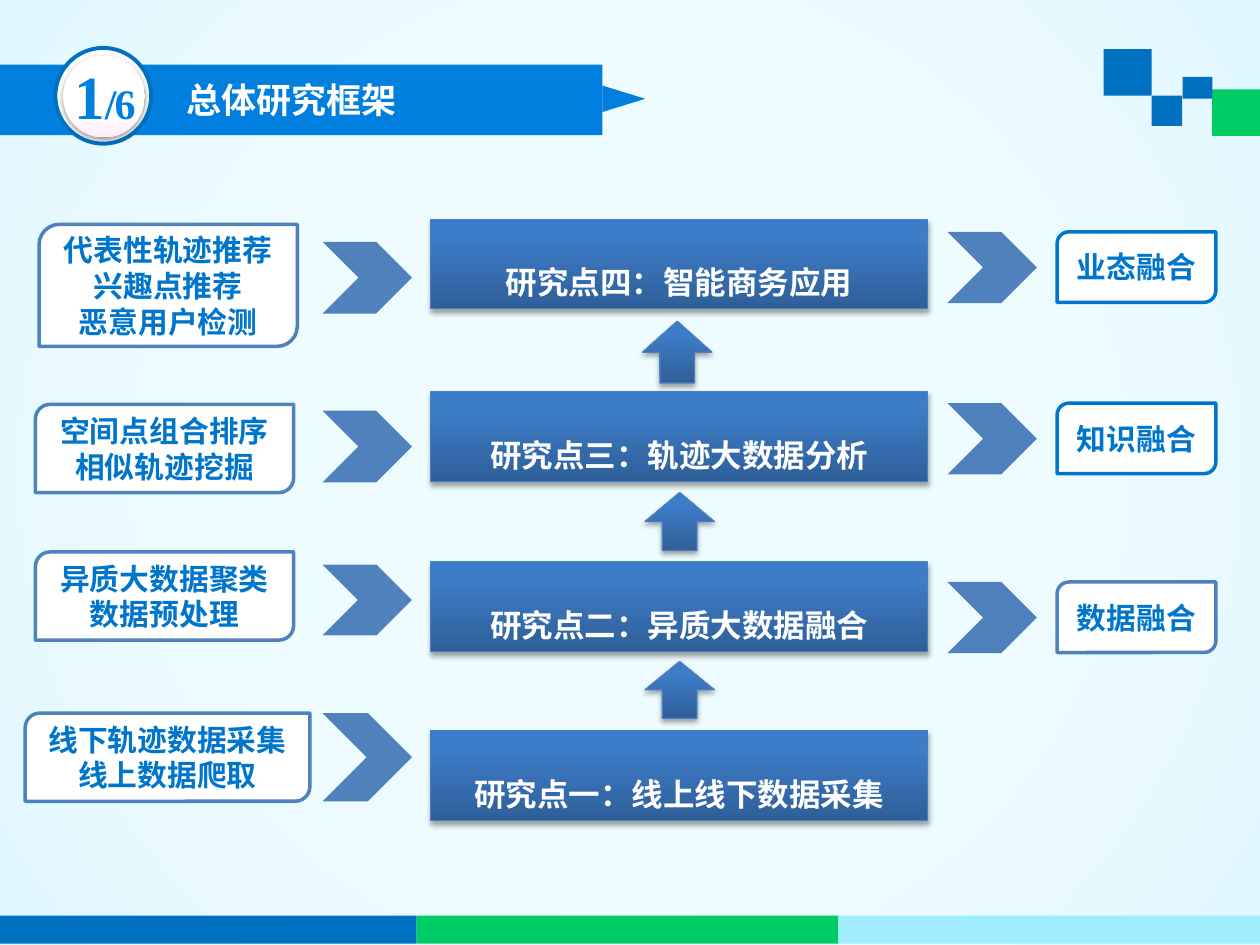
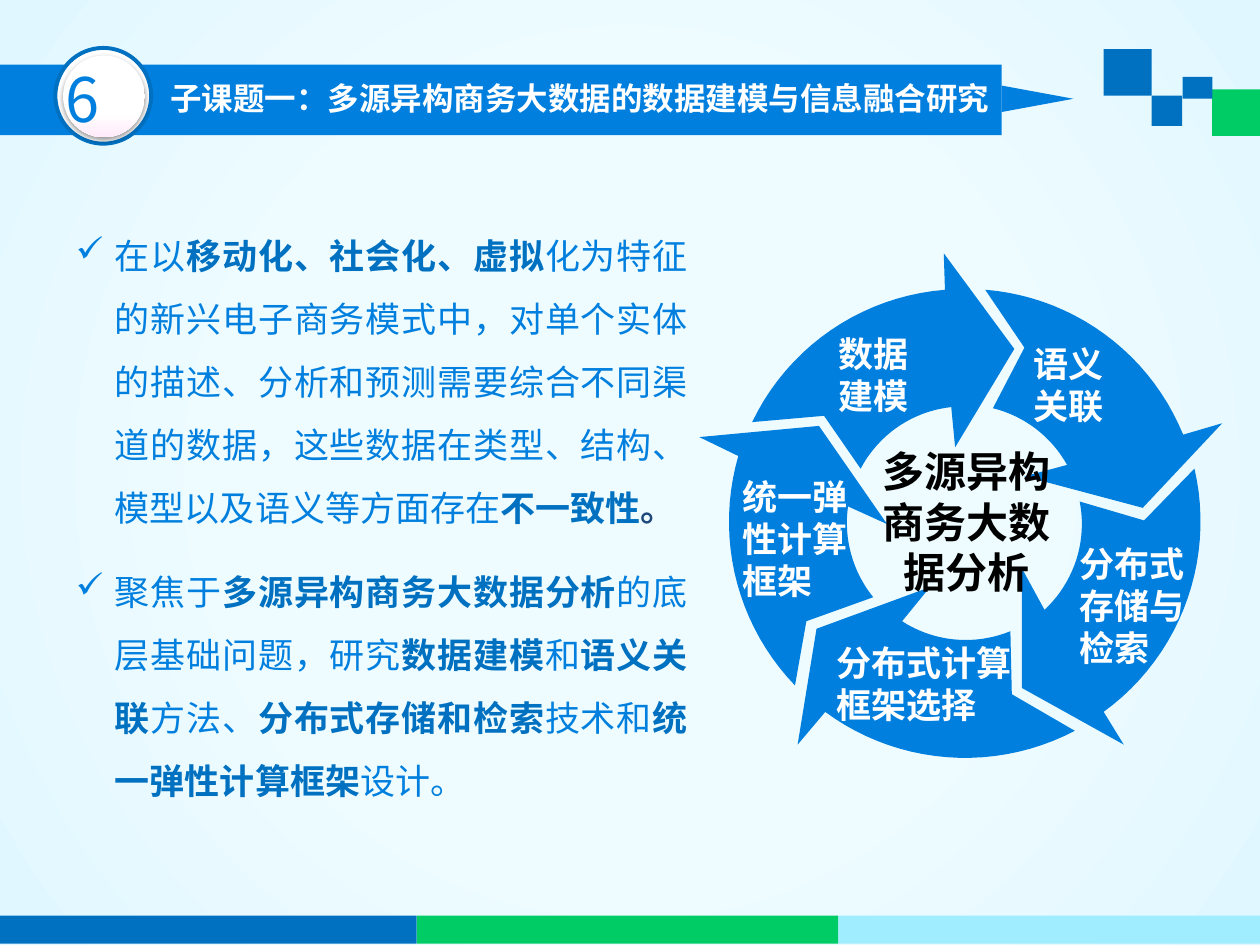
from math import atan2, ceil, cos, hypot, pi, remainder, sin

from lxml.etree import SubElement
from pptx import Presentation
from pptx.dml.color import RGBColor
from pptx.enum.shapes import MSO_SHAPE
from pptx.enum.text import MSO_ANCHOR, MSO_AUTO_SIZE, PP_ALIGN
from pptx.oxml.ns import qn
from pptx.util import Pt

CHINESE_FONT = "Noto Sans CJK SC"
NUMBER_FONT = "Times New Roman"
BRIGHT_BLUE = "007FDE"
DEEP_BLUE = "0070C0"
LABEL_BLUE = "0075CC"
STEEL_BLUE = "4F81BD"
GREEN = "00CC66"
PALE_BLUE = "9FEDFF"
WHITE = "FFFFFF"
BLACK = "000000"

BACKGROUND_STOPS = [(19, "EFFCFF"), (50, "EEFCFF"), (98, "E1F7FF")]
STAGE_STOPS = [(0, "2F5F99"), (80, "3D7CC7"), (100, "3A7CCB")]
BADGE_STOPS = [(0, WHITE), (70, WHITE), (100, "FFEBFA")]

PLAIN = (BRIGHT_BLUE, False)
STRONG = (DEEP_BLUE, True)
FULL_STOP = ("1F497D", True)

# Stage title, stage top, input lines, input frame, input chevron (top, height)
STAGES = [
    ("研究点四：智能商务应用", 125.3, ["代表性轨迹推荐", "兴趣点推荐", "恶意用户检测"],
     (22.3, 128.2, 147.6, 69.8), (138.2, 41)),
    ("研究点三：轨迹大数据分析", 223.9, ["空间点组合排序", "相似轨迹挖掘"],
     (20.2, 231.1, 147.6, 50.4), (234.7, 41)),
    ("研究点二：异质大数据融合", 321.1, ["异质大数据聚类数据预处理"],
     (20.2, 315.4, 147.6, 50.4), (322.6, 40.5)),
    ("研究点一：线上线下数据采集", 417.6, ["线下轨迹数据采集", "线上数据爬取"],
     (14.4, 407.5, 162.7, 50.4), (407.5, 50.4)),
]
RESULTS = [("业态融合", 132.5, LABEL_BLUE), ("知识融合", 230.4, LABEL_BLUE),
           ("数据融合", 332.6, STEEL_BLUE)]
UP_ARROWS = [(367.2, 183.6, 35.3), (368.6, 281.5, 33.1), (368.6, 378, 32.4)]

BODY = [
    [("在以", PLAIN), ("移动化、社会化、虚拟", STRONG),
     ("化为特征的新兴电子商务模式中，对单个实体的描述、分析和预测需要综合不同渠道的数据，"
      "这些数据在类型、结构、模型以及语义等方面存在", PLAIN),
     ("不一致性", STRONG), ("。", FULL_STOP)],
    [("聚焦于", PLAIN), ("多源异构商务大数据分析", STRONG), ("的底层基础问题，研究", PLAIN),
     ("数据建模", STRONG), ("和", PLAIN), ("语义关联", STRONG), ("方法、", PLAIN),
     ("分布式存储和检索", STRONG), ("技术和", PLAIN), ("统一弹性计算框架", STRONG),
     ("设计。", PLAIN)],
]

RING_CENTRE = (551.5, 298.4)
# Inner arc start and end, inner barb, tip, outer barb, outer arc start and end, notch
RING_ARROWS = [
    [(491.8, 267.8), (543.6, 232.6), (545.8, 255.6), (579.6, 199.4),
     (539.3, 144.7), (540, 165.6), (429.8, 241.2), (470.9, 237.6)],
    [(567.4, 233.3), (609.8, 265.7), (585.4, 272.2), (653, 290.2),
     (698.4, 241.9), (676.1, 248.4), (563, 165.6), (585.4, 198.7)],
    [(617, 286.6), (596.9, 348.5), (583.9, 324.7), (583.9, 393.1),
     (642.2, 425.5), (630.7, 406.8), (682.6, 267.8), (653.8, 297.4)],
    [(577.4, 360.7), (515.5, 355), (531.4, 335.5), (466.6, 359.3),
     (455.8, 425.5), (471.6, 406.8), (614.2, 417.6), (578.2, 396.7)],
    [(499, 341.3), (484.6, 289.4), (506.9, 299.5), (468, 243.4),
     (399.6, 249.8), (421.9, 260.6), (454.3, 391.7), (460.8, 355)],
]
RING_LABELS = [
    ("数据建模", (479.2, 190.1, 48, 48.2)),
    ("语义关联", (590.8, 195.8, 48, 48.2)),
    ("分布式存储与检索", (617, 309.6, 62, 72.7)),
    ("分布式计算框架选择", (478, 366.5, 102, 48.2)),
    ("统一弹性计算框架", (424, 271.4, 62, 72.7)),
]


def color(value):
    return RGBColor.from_string(value)


def points(frame):
    return [Pt(length) for length in frame]


def set_gradient(fill, owner, stops, angle=None):
    """Fill with the stops, along an angle or, without one, outward from the centre."""
    fill.gradient()
    gradient = next(owner.iter(qn("a:gradFill")))
    for child in list(gradient):
        gradient.remove(child)
    stop_list = SubElement(gradient, qn("a:gsLst"))
    for position, value in stops:
        stop = SubElement(stop_list, qn("a:gs"), pos=str(position * 1000))
        SubElement(stop, qn("a:srgbClr"), val=value)
    if angle is None:
        circle = SubElement(gradient, qn("a:path"))
        circle.set("path", "circle")
        SubElement(circle, qn("a:fillToRect"), l="50000", t="50000", r="50000", b="50000")
    else:
        SubElement(gradient, qn("a:lin"), ang=str(angle * 60000), scaled="0")


def add_shadow(shape, distance, opacity):
    effects = shape.element.spPr.find(qn("a:effectLst"))
    shadow = SubElement(effects, qn("a:outerShdw"), blurRad=str(Pt(3.1)),
                        dist=str(Pt(distance)), dir="5400000", rotWithShape="0")
    shade = SubElement(shadow, qn("a:srgbClr"), val=BLACK)
    SubElement(shade, qn("a:alpha"), val=str(opacity * 1000))


def style_shape(shape, fill=None, line=None, line_width=2):
    shape.shadow.inherit = False
    if fill:
        shape.fill.solid()
        shape.fill.fore_color.rgb = color(fill)
    else:
        shape.fill.background()
    if line:
        shape.line.color.rgb = color(line)
        shape.line.width = Pt(line_width)
    else:
        shape.line.fill.background()
    return shape


def add_shape(slide, kind, frame, fill=None, line=None, line_width=2):
    shape = slide.shapes.add_shape(kind, *points(frame))
    return style_shape(shape, fill, line, line_width)


def add_raised_shape(slide, kind, frame):
    shape = add_shape(slide, kind, frame, WHITE, "4B7EBC", 0.75)
    set_gradient(shape.fill, shape.element.spPr, STAGE_STOPS, 270)
    add_shadow(shape, 1.8, 35)
    return shape


def format_run(run, size, value, bold=True, font=CHINESE_FONT, spacing=None):
    run.font.size = Pt(size)
    run.font.bold = bold
    run.font.color.rgb = color(value)
    run.font.name = font
    properties = run.font._element
    SubElement(properties, qn("a:ea"), typeface=font)
    if spacing is not None:
        properties.set("spc", str(round(spacing * 100)))


def set_text(shape, lines, size, value, align=PP_ALIGN.LEFT, anchor=MSO_ANCHOR.TOP,
             line_spacing=None):
    text_frame = shape.text_frame
    text_frame.text = "\n".join(lines)
    text_frame.word_wrap = True
    text_frame.auto_size = MSO_AUTO_SIZE.NONE
    text_frame.vertical_anchor = anchor
    for paragraph in text_frame.paragraphs:
        paragraph.alignment = align
        if line_spacing:
            paragraph.line_spacing = line_spacing
        for run in paragraph.runs:
            format_run(run, size, value)


def add_ribbon(slide, width, tip_length):
    left, top, height, tip_base = -1.4, 36.9, 40.3, 15.1
    add_shape(slide, MSO_SHAPE.RECTANGLE, (left, top, width, height), BRIGHT_BLUE)
    tip_left = left + width + (tip_length - tip_base) / 2
    tip_top = top + (height - tip_length) / 2 - 0.6
    tip = add_shape(slide, MSO_SHAPE.ISOSCELES_TRIANGLE,
                    (tip_left, tip_top, tip_base, tip_length), BRIGHT_BLUE)
    tip.rotation = 90


def add_badge(slide, position, runs):
    """Round badge; each run is text, size, font, bold and letter spacing."""
    add_shape(slide, MSO_SHAPE.OVAL, (31.7, 27.4, 54.7, 54.7), WHITE, DEEP_BLUE, 2.25)
    disc = add_shape(slide, MSO_SHAPE.OVAL, (36, 31.7, 46.8, 46.8), WHITE)
    set_gradient(disc.fill, disc.element.spPr, BADGE_STOPS, 90)
    add_shadow(disc, 1.6, 38)
    number = slide.shapes.add_textbox(*points((*position, 61.9, 49.7)))
    number.text_frame.word_wrap = True
    paragraph = number.text_frame.paragraphs[0]
    for text, size, font, bold, spacing in runs:
        run = paragraph.add_run()
        run.text = text
        format_run(run, size, BRIGHT_BLUE, bold, font, spacing)


def add_decoration(slide):
    for *frame, fill in [(692.6, 51.1, 27.4, 26.6, GREEN), (630.7, 28.1, 27.4, 26.6, DEEP_BLUE),
                         (658.1, 54.7, 17.5, 17.3, DEEP_BLUE),
                         (675.8, 43.9, 17, 12.5, DEEP_BLUE)]:
        add_shape(slide, MSO_SHAPE.RECTANGLE, frame, fill)
    for index, fill in enumerate([DEEP_BLUE, GREEN, PALE_BLUE]):
        add_shape(slide, MSO_SHAPE.RECTANGLE, (-2.7 + 240.9 * index, 523.2, 240.9, 16.1), fill)


def set_title(slide, text, frame, size, line_spacing=None):
    title = slide.shapes.title
    title.left, title.top, title.width, title.height = points(frame)
    set_text(title, [text], size, WHITE, line_spacing=line_spacing)
    title.element.getparent().append(title.element)  # in front of the ribbon


def add_label_box(slide, lines, frame, line):
    box = add_shape(slide, MSO_SHAPE.ROUND_2_DIAG_RECTANGLE, frame, WHITE, line)
    set_text(box, lines, 17, LABEL_BLUE, PP_ALIGN.CENTER, MSO_ANCHOR.MIDDLE)


def add_stage(slide, title, top):
    stage = add_raised_shape(slide, MSO_SHAPE.RECTANGLE, (246.2, top, 283.7, 51.1))
    set_text(stage, [title], 18, WHITE, PP_ALIGN.CENTER, line_spacing=2)
    stage.text_frame.paragraphs[0].space_after = Pt(18)
    stage.text_frame.auto_size = MSO_AUTO_SIZE.SHAPE_TO_FIT_TEXT


def add_body(slide):
    body = add_shape(slide, MSO_SHAPE.ROUNDED_RECTANGLE, (36.7, 111.6, 362.9, 360.7))
    body.adjustments[0] = 0.063
    text_frame = body.text_frame
    text_frame.word_wrap = True
    text_frame.vertical_anchor = MSO_ANCHOR.TOP
    text_frame.margin_left = text_frame.margin_right = 0
    for index, pieces in enumerate(BODY):
        paragraph = text_frame.add_paragraph() if index else text_frame.paragraphs[0]
        paragraph.alignment = PP_ALIGN.JUSTIFY
        paragraph.line_spacing = 1.5
        if index:
            paragraph.space_before = Pt(12)
        properties = paragraph._p.get_or_add_pPr()
        properties.set("marL", str(Pt(22.3)))
        properties.set("indent", str(Pt(-22.3)))
        SubElement(properties, qn("a:buChar"), char="✓")
        for text, (value, bold) in pieces:
            run = paragraph.add_run()
            run.text = text
            format_run(run, 20, value, bold)


def ring_arc(start, end):
    """Points from start to end along the shorter arc around the ring centre."""
    centre_x, centre_y = RING_CENTRE
    (angle, radius), (end_angle, end_radius) = [
        (atan2(y - centre_y, x - centre_x), hypot(x - centre_x, y - centre_y))
        for x, y in (start, end)]
    sweep = remainder(end_angle - angle, 2 * pi)
    steps = ceil(abs(sweep) / (pi / 60))
    arc = []
    for step in range(steps + 1):
        share = step / steps
        distance = radius + (end_radius - radius) * share
        arc.append((centre_x + distance * cos(angle + sweep * share),
                    centre_y + distance * sin(angle + sweep * share)))
    return arc


def add_ring_arrow(slide, corners):
    inner_start, inner_end, inner_barb, tip, outer_barb, outer_start, outer_end, notch = corners
    outline = [*ring_arc(inner_start, inner_end), inner_barb, tip, outer_barb,
               *ring_arc(outer_start, outer_end), notch]
    vertices = [points(vertex) for vertex in outline]
    builder = slide.shapes.build_freeform(*vertices[0])
    builder.add_line_segments(vertices[1:], close=True)
    style_shape(builder.convert_to_shape(), BRIGHT_BLUE)


def add_ring_label(slide, text, frame):
    label = slide.shapes.add_textbox(*points(frame))
    set_text(label, [text], 20, WHITE, anchor=MSO_ANCHOR.MIDDLE)
    text_frame = label.text_frame
    text_frame.margin_left = text_frame.margin_right = 0
    text_frame.margin_top = text_frame.margin_bottom = 0


def build_framework_slide(slide):
    add_decoration(slide)
    add_ribbon(slide, 345.6, 24.5)
    add_badge(slide, (35.3, 29.5), [("1", 35, NUMBER_FONT, True, -2.2),
                                    ("/6", 24, NUMBER_FONT, True, -1)])
    set_title(slide, "总体研究框架", (99.4, 41, 260.6, 31.7), 20)
    for title, top, inputs, input_frame, (chevron_top, chevron_height) in STAGES:
        add_label_box(slide, inputs, input_frame, STEEL_BLUE)
        add_shape(slide, MSO_SHAPE.CHEVRON, (184.3, chevron_top, 51.1, chevron_height), STEEL_BLUE)
        add_stage(slide, title, top)
    for left, top, height in UP_ARROWS:
        add_raised_shape(slide, MSO_SHAPE.UP_ARROW, (left, top, 39.6, height))
    for text, top, line in RESULTS:
        add_shape(slide, MSO_SHAPE.CHEVRON, (541.4, top, 51.1, 40.7), STEEL_BLUE)
        add_label_box(slide, [text], (604.1, top, 90.7, 40.3), line)


def build_topic_slide(slide):
    add_decoration(slide)
    add_ribbon(slide, 573.8, 41)
    add_badge(slide, (30.2, 31.7), [("6", 35, CHINESE_FONT, False, -2.2)])
    set_title(slide, "子课题一：多源异构商务大数据的数据建模与信息融合研究",
              (90, 43.9, 536.4, 26.6), 18, 0.9)
    add_body(slide)
    for corners in RING_ARROWS:
        add_ring_arrow(slide, corners)
    for text, frame in RING_LABELS:
        add_ring_label(slide, text, frame)
    hub = slide.shapes.add_textbox(*points((494.6, 251.3, 115.9, 94.3)))
    set_text(hub, ["多源异构商务大数据分析"], 24, BLACK, PP_ALIGN.CENTER)


def main():
    presentation = Presentation()
    presentation.slide_width, presentation.slide_height = Pt(720), Pt(540)
    master = presentation.slide_master
    set_gradient(master.background.fill, master.element, BACKGROUND_STOPS)
    title_only = presentation.slide_layouts[5]
    for build in (build_framework_slide, build_topic_slide):
        build(presentation.slides.add_slide(title_only))
    presentation.save("out.pptx")


if __name__ == "__main__":
    main()
